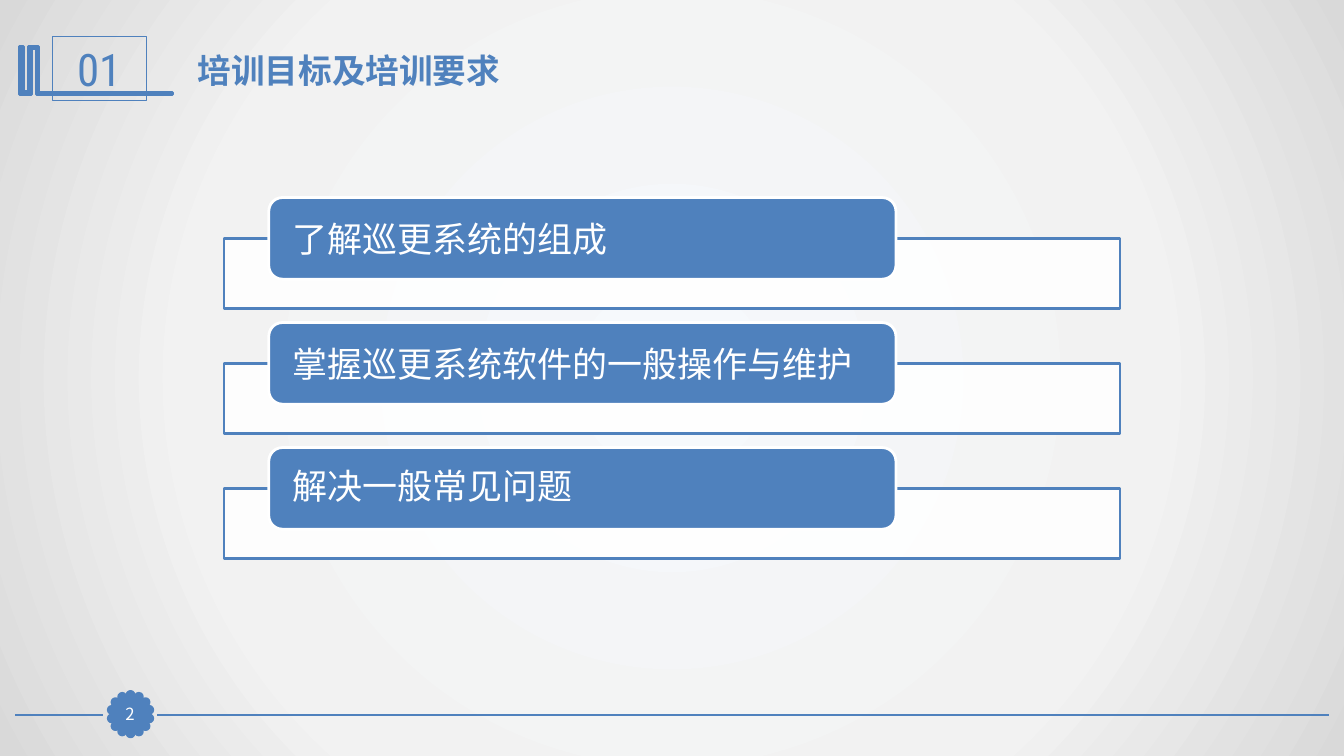
import math
from pptx import Presentation, util as u
from pptx.dml.color import RGBColor
from pptx.enum import shapes, text
from pptx.oxml import parse_xml
from pptx.oxml.ns import nsdecls, qn

BLUE = RGBColor(0x4F, 0x81, 0xBD)
WHITE = RGBColor(0xFF, 0xFF, 0xFF)
CJK = "Noto Sans CJK SC"
W, H = 13.33, 7.5

TITLE = "培训目标及培训要求"
SECTION, PAGE = "01", "2"
GOALS = [("了解巡更系统的组成", 1), ("掌握巡更系统软件的一般操作与维护", 1), ("解决一般常见问题", 0.9)]
BACKGROUND = [(0, "F6F9FC"), (63, "F2F2F2"), (100, "D9D9D9")]

ROW_TOP, ROW_STEP = 1.96, 1.24
FRAME = (W / 6, 0.41, W * 2 / 3, 0.69)
CARD = (W / 5, 0, W * 7 / 15, 0.81)
RULE_Y, RULES = 7.09, [(13.18, 1.56), (1.02, 0.15)]
BADGE_X, BADGE_Y, BADGE_R, DOT, DOTS = 1.295, 7.085, 0.19, 0.07, 14
BOOKS = [(37, 46), (38, 46), (38, 92), (171, 92), (171, 94), (36, 94), (36, 48), (31, 48),
         (31, 94), (19, 94), (19, 46), (23, 46), (23, 91), (28, 91), (28, 46)]

prs = Presentation()
prs.slide_width, prs.slide_height = u.Inches(W), u.Inches(H)
s = prs.slides.add_slide(prs.slide_layouts[5])


def paint(sp, fill, line, width):
    sp.shadow.inherit = False
    if fill is None:
        sp.fill.background()
    else:
        sp.fill.solid()
        sp.fill.fore_color.rgb = fill
    sp.line.color.rgb = line
    sp.line.width = u.Pt(width)


def add_box(kind, x, y, w, h, fill, line=BLUE, width=2):
    sp = s.shapes.add_shape(kind, *map(u.Inches, (x, y, w, h)))
    paint(sp, fill, line, width)
    return sp


def write(sp, content, size, font, color, align, anchor=text.MSO_ANCHOR.MIDDLE, inset=(0, 0), bold=False):
    tf = sp.text_frame
    tf.word_wrap = True
    tf.auto_size = text.MSO_AUTO_SIZE.NONE
    tf.vertical_anchor = anchor
    tf.margin_left = tf.margin_right = u.Inches(inset[0])
    tf.margin_top = tf.margin_bottom = u.Inches(inset[1])
    p = tf.paragraphs[0]
    p.text = content
    p.alignment = align
    r = p.runs[0]
    r.font.size, r.font.name, r.font.bold = u.Pt(size), font, bold
    r.font.color.rgb = color
    r.font._element.find(qn("a:latin")).addnext(
        parse_xml(f'<a:ea {nsdecls("a")} typeface="{CJK}"/>'))
    return p


stops = "".join(f'<a:gs pos="{pos * 1000}"><a:srgbClr val="{c}"/></a:gs>' for pos, c in BACKGROUND)
s.element.cSld.insert(0, parse_xml(
    f'<p:bg {nsdecls("p", "a")}><p:bgPr><a:gradFill rotWithShape="1"><a:gsLst>{stops}</a:gsLst>'
    '<a:path path="circle"><a:fillToRect l="50000" t="50000" r="50000" b="50000"/></a:path>'
    '</a:gradFill><a:effectLst/></p:bgPr></p:bg>'))

for x1, x2 in RULES:
    rule = s.shapes.add_connector(shapes.MSO_CONNECTOR.STRAIGHT, *map(u.Inches, (x1, RULE_Y, x2, RULE_Y)))
    rule.line.color.rgb = BLUE
    rule.line.width = u.Pt(1.25)
    rule._element.spPr.append(parse_xml(f'<a:effectLst {nsdecls("a")}/>'))

for i in range(DOTS):
    a = 2 * math.pi * i / DOTS
    add_box(shapes.MSO_SHAPE.OVAL, BADGE_X + BADGE_R * math.sin(a) - DOT / 2,
            BADGE_Y - BADGE_R * math.cos(a) - DOT / 2, DOT, DOT, BLUE)

fb = s.shapes.build_freeform(*BOOKS[0], scale=u.Inches(0.01))
fb.add_line_segments(BOOKS[1:], close=True)
paint(fb.convert_to_shape(), BLUE, BLUE, 2)

CENTER, LEFT = text.PP_ALIGN.CENTER, text.PP_ALIGN.LEFT
number = add_box(shapes.MSO_SHAPE.RECTANGLE, 0.52, 0.36, 0.93, 0.64, None, width=0.75)
write(number, SECTION, 32, "Roboto Condensed", BLUE, CENTER, inset=(0.1, 0.05))
badge = add_box(shapes.MSO_SHAPE.RECTANGLE, 1.13, 6.93, 0.32, 0.31, BLUE, width=0.75)
write(badge, PAGE, 12, CJK, WHITE, CENTER)

title = s.shapes.title
title.left, title.top, title.width, title.height = map(u.Inches, (1.86, 0.44, 9.69, 0.5))
write(title, TITLE, 24, "Roboto", BLUE, LEFT, text.MSO_ANCHOR.TOP, (0.1, 0.05), True)

for i, (goal, spacing) in enumerate(GOALS):
    top = ROW_TOP + i * ROW_STEP
    x, dy, w, h = FRAME
    frame = add_box(shapes.MSO_SHAPE.RECTANGLE, x, top + dy, w, h, WHITE)
    frame._element.spPr.find(qn("a:solidFill"))[0].append(
        parse_xml(f'<a:alpha {nsdecls("a")} val="90000"/>'))
    x, dy, w, h = CARD
    card = add_box(shapes.MSO_SHAPE.ROUNDED_RECTANGLE, x, top + dy, w, h, BLUE, WHITE)
    p = write(card, goal, 25, CJK, WHITE, LEFT, inset=(0.2, 0))
    p.line_spacing = float(spacing)

prs.save("out.pptx")
